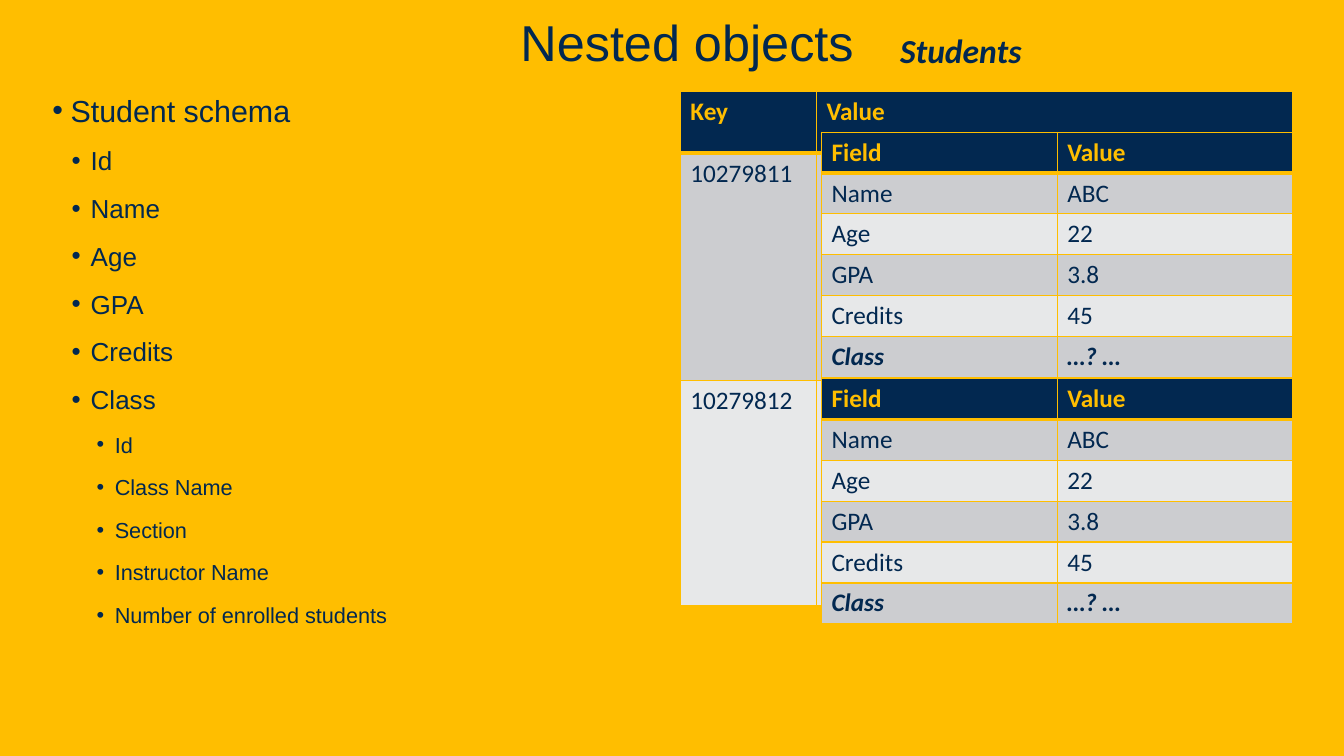
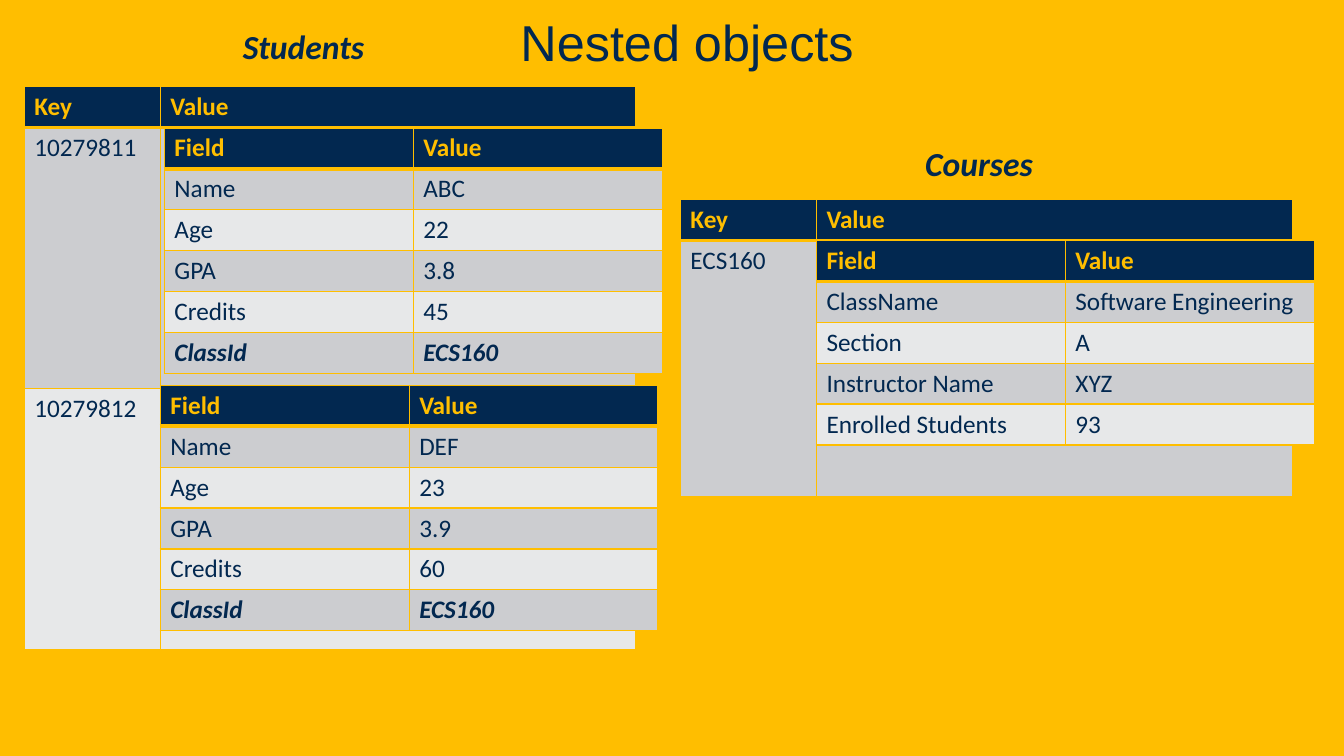
import dataclasses
import lxml.etree
import pptx
import pptx.dml.color
import pptx.enum.text
import pptx.oxml.ns
import pptx.util

Pt = pptx.util.Pt
RGB = pptx.dml.color.RGBColor
qn = pptx.oxml.ns.qn


@dataclasses.dataclass(frozen=True)
class Theme:
    gold: str = "FFBE00"
    navy: str = "022850"
    bands: tuple = ("CCCDD0", "E7E8E9")
    text_font: str = "Arial"
    table_font: str = "Calibri"
    title_size: float = 36
    label_size: float = 24
    cell_size: float = 18
    level_sizes: tuple = (21.7, 18.6, 15.5)
    row_height: float = 29.2


theme = Theme()


def add_run(p, text, size, font, color=theme.navy, bold=False, italic=False):
    r = p.add_run()
    r.text = text
    r.font.size = Pt(size)
    r.font.name = font
    r.font.color.rgb = RGB.from_string(color)
    r.font.bold = bold
    r.font.italic = italic


def add_grid(s, left, top, widths, heights, rows):
    shape = s.shapes.add_table(len(rows), len(widths), Pt(left), Pt(top),
                               Pt(sum(widths)), Pt(sum(heights)))
    table = shape.table
    table.horz_banding = False
    for column, width in zip(table.columns, widths):
        column.width = Pt(width)
    for i, (row, height) in enumerate(zip(rows, heights)):
        table.rows[i].height = Pt(height)
        header = i == 0
        emphasis = row[0] in ("Class", "ClassId")
        for j, text in enumerate(row):
            cell = table.cell(i, j)
            cell.fill.solid()
            cell.fill.fore_color.rgb = RGB.from_string(
                theme.navy if header else theme.bands[(i - 1) % 2])
            if text:
                add_run(cell.text_frame.paragraphs[0], text, theme.cell_size, theme.table_font,
                        theme.gold if header else theme.navy, header or emphasis, emphasis)
            tc_pr = cell._tc.get_or_add_tcPr()
            for k, side in enumerate(("lnL", "lnR", "lnT", "lnB")):
                thick = (side == "lnB" and header) or (side == "lnT" and i == 1)
                ln = lxml.etree.Element(qn(f"a:{side}"), w=str(Pt(3 if thick else 1)))
                fill = lxml.etree.SubElement(ln, qn("a:solidFill"))
                lxml.etree.SubElement(fill, qn("a:srgbClr"), val=theme.gold)
                tc_pr.insert(k, ln)


prs = pptx.Presentation()
prs.slide_width, prs.slide_height = Pt(960), Pt(540)
background = prs.slide_master.background.fill
background.solid()
background.fore_color.rgb = RGB.from_string(theme.gold)

schema_slide = prs.slides.add_slide(prs.slide_layouts.get_by_name("Title and Content"))
reference_slide = prs.slides.add_slide(prs.slide_layouts.get_by_name("Title Only"))

for s in prs.slides:
    title = s.shapes.title
    title.left, title.top, title.width, title.height = Pt(0), Pt(0), Pt(960), Pt(54.7)
    tf = title.text_frame
    tf.auto_size = pptx.enum.text.MSO_AUTO_SIZE.NONE
    tf.vertical_anchor = pptx.enum.text.MSO_ANCHOR.BOTTOM
    p = tf.paragraphs[0]
    p.alignment = pptx.enum.text.PP_ALIGN.CENTER
    p._p.get_or_add_pPr().set("marL", str(Pt(21.6)))
    add_run(p, "Nested objects", theme.title_size, theme.text_font)

schema = [
    (0, "Student schema"),
    (1, "Id"),
    (1, "Name"),
    (1, "Age"),
    (1, "GPA"),
    (1, "Credits"),
    (1, "Class"),
    (2, "Id"),
    (2, "Class Name"),
    (2, "Section"),
    (2, "Instructor Name"),
    (2, "Number of enrolled students"),
]
margins = (13, 27.4, 44.6)
hangs = (13, 13.7, 13)
body = schema_slide.placeholders[1]
body.left, body.top, body.width, body.height = Pt(30.2), Pt(61.9), Pt(443.5), Pt(397.4)
tf = body.text_frame
tf.auto_size = pptx.enum.text.MSO_AUTO_SIZE.NONE
for i, (level, text) in enumerate(schema):
    p = tf.add_paragraph() if i else tf.paragraphs[0]
    p.level = level
    p.space_before = Pt(5.8 if level else 10)
    p.space_after = Pt(6)
    p_pr = p._p.get_or_add_pPr()
    p_pr.set("marL", str(Pt(margins[level])))
    p_pr.set("indent", str(Pt(-hangs[level])))
    lxml.etree.SubElement(p_pr, qn("a:buChar"), char="•")
    add_run(p, text, theme.level_sizes[level], theme.text_font)

key_widths = (97.2, 339.8)
key_header = ("Key", "Value")
student_keys = [key_header, ("10279811", ""), ("10279812", "")]
course_keys = [key_header, ("ECS160", "")]
key_tables = [
    (schema_slide, 486, 65.5, (43.9, 162.7, 160.6), student_keys),
    (reference_slide, 17.3, 61.9, (theme.row_height, 186.5, 186.5), student_keys),
    (reference_slide, 486, 142.6, (theme.row_height, 182.9), course_keys),
]
for s, left, top, heights, rows in key_tables:
    add_grid(s, left, top, key_widths, heights, rows)

first_student = [("Name", "ABC"), ("Age", "22"), ("GPA", "3.8"), ("Credits", "45")]
second_student = [("Name", "DEF"), ("Age", "23"), ("GPA", "3.9"), ("Credits", "60")]
course = [("ClassName", "Software Engineering"), ("Section", "A"),
          ("Instructor Name", "XYZ"), ("Enrolled Students", "93")]
open_class = [("Class", "…? …")]
class_reference = [("ClassId", "ECS160")]
value_tables = [
    (schema_slide, 586.8, 94.4, 168.4, first_student + open_class),
    (schema_slide, 586.8, 270.4, 168.4, first_student + open_class),
    (reference_slide, 117.4, 91.4, 177.8, first_student + class_reference),
    (reference_slide, 114.5, 275.3, 177.8, second_student + class_reference),
    (reference_slide, 583.2, 171.8, 177.8, course),
]
for s, left, top, width, fields in value_tables:
    rows = [("Field", "Value")] + fields
    add_grid(s, left, top, (width, width), [theme.row_height] * len(rows), rows)

labels = [
    (schema_slide, "Students", 635.8, 18, 102.2),
    (reference_slide, "Students", 166.3, 15.1, 102.2),
    (reference_slide, "Courses", 653.8, 98.6, 92.2),
]
for s, text, left, top, width in labels:
    label = s.shapes.add_textbox(Pt(left), Pt(top), Pt(width), Pt(36))
    tf = label.text_frame
    tf.word_wrap = False
    tf.auto_size = pptx.enum.text.MSO_AUTO_SIZE.SHAPE_TO_FIT_TEXT
    add_run(tf.paragraphs[0], text, theme.label_size, theme.table_font, bold=True, italic=True)

prs.save("out.pptx")
